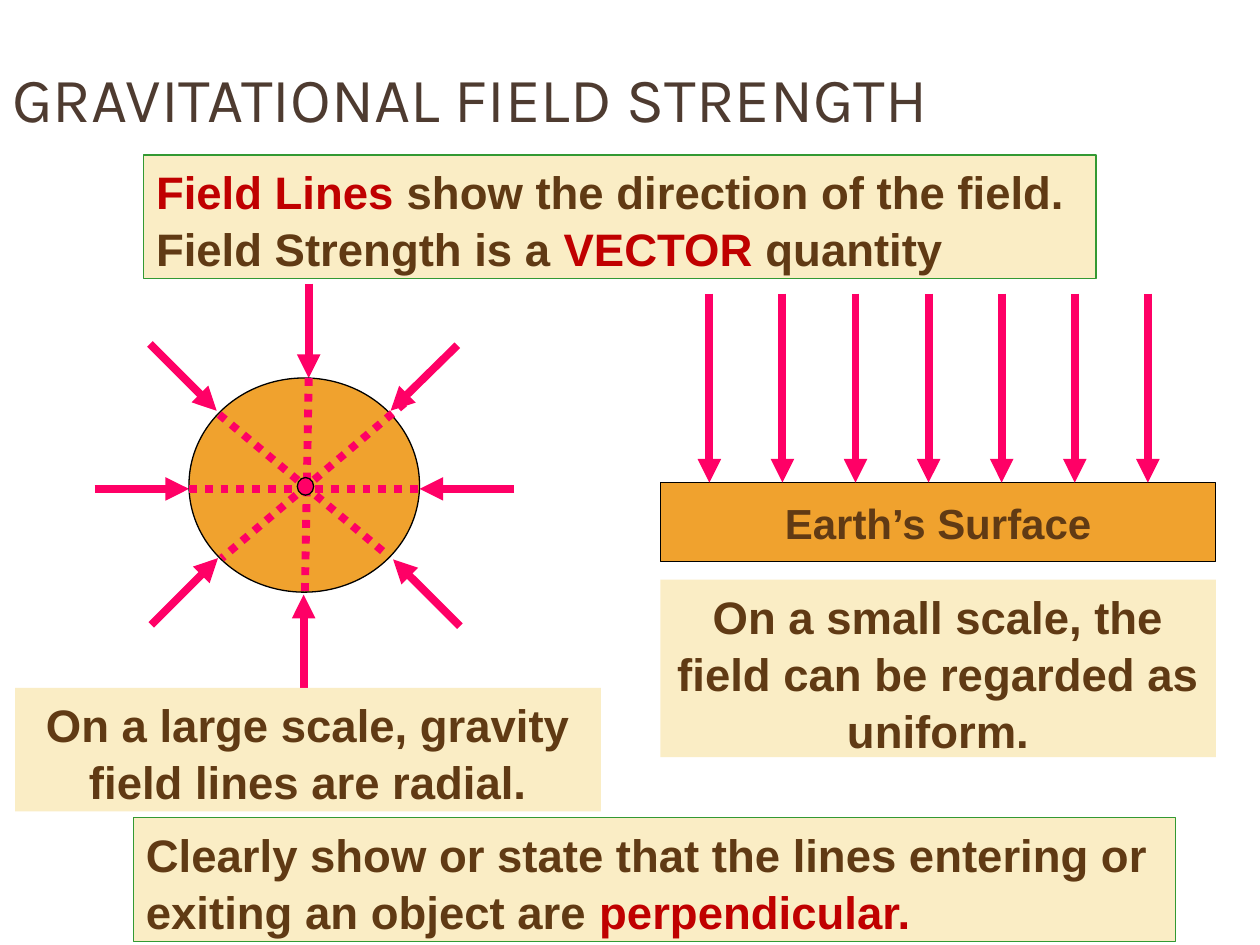
from dataclasses import dataclass

from lxml import etree
from pptx import Presentation
from pptx import util as u
from pptx.dml.color import RGBColor
from pptx.enum import dml, shapes, text
from pptx.oxml.ns import qn
from pptx.slide import Slide


@dataclass(frozen=True)
class Theme:
    cream: str = "F8E19F"
    cream_opacity: int = 60
    earth: str = "F0A22E"
    field: str = "FF0066"
    outline: str = "000000"
    border: str = "339933"
    body: str = "603A14"
    emphasis: str = "C00000"
    heading: str = "4E3B30"
    body_font: str = "Arial"
    heading_font: str = "Karla"
    note_size: int = 26
    label_size: int = 24
    heading_size: int = 36
    thin: float = 0.75
    thick: float = 4.5
    note_spacing: float = 1.05


@dataclass(frozen=True)
class Box:
    left: float
    top: float
    width: float
    height: float

    def lengths(self) -> list[u.Length]:
        return [u.Inches(v) for v in (self.left, self.top, self.width, self.height)]


@dataclass(frozen=True)
class Note:
    box: Box
    phrases: tuple[tuple[str, str], ...]
    centred: bool = False
    bordered: bool = False


@dataclass(frozen=True)
class FieldLine:
    x1: float
    y1: float
    x2: float
    y2: float
    inside: bool = False


THEME = Theme()

NOTES = (
    Note(Box(1.14, 1.23, 7.56, 0.98), (
        ("Field Lines ", THEME.emphasis),
        ("show the direction of the field. Field Strength is a ", THEME.body),
        ("VECTOR ", THEME.emphasis),
        ("quantity", THEME.body),
    ), bordered=True),
    Note(Box(0.12, 5.46, 4.65, 0.98), (
        ("On a large scale, gravity field lines are radial.", THEME.body),
    ), centred=True),
    Note(Box(5.24, 4.6, 4.41, 1.41), (
        ("On a small scale, the field can be regarded as uniform.", THEME.body),
    ), centred=True),
    Note(Box(1.06, 6.49, 8.27, 0.98), (
        ("Clearly show or state that the lines entering or exiting an object are ", THEME.body),
        ("perpendicular.", THEME.emphasis),
    ), bordered=True),
)

RADIAL_ARROWS = (
    FieldLine(2.45, 2.25, 2.45, 3),
    FieldLine(2.41, 5.46, 2.41, 4.72),
    FieldLine(0.75, 3.88, 1.5, 3.88),
    FieldLine(1.19, 2.73, 1.72, 3.26),
    FieldLine(3.63, 2.74, 3.1, 3.26),
    FieldLine(1.2, 4.96, 1.73, 4.43),
    FieldLine(3.65, 4.97, 3.12, 4.44),
    FieldLine(4.08, 3.88, 3.33, 3.88),
)
INNER_LINES = (
    FieldLine(3.21, 3.2, 1.76, 4.43, inside=True),
    FieldLine(2.45, 3, 2.42, 4.71, inside=True),
    FieldLine(1.5, 3.88, 3.33, 3.88, inside=True),
    FieldLine(1.74, 3.29, 3.08, 4.41, inside=True),
)
UNIFORM_ARROWS = tuple(
    FieldLine(5.63 + 0.58 * i, 2.33, 5.63 + 0.58 * i, 3.83) for i in range(7)
)


def rgb(colour: str) -> RGBColor:
    return RGBColor.from_string(colour)


def add_body(slide: Slide, preset: shapes.MSO_SHAPE, box: Box, fill: str, border: str | None):
    body = slide.shapes.add_shape(preset, *box.lengths())
    body.shadow.inherit = False
    body.fill.solid()
    body.fill.fore_color.rgb = rgb(fill)
    if border:
        body.line.color.rgb = rgb(border)
        body.line.width = u.Pt(THEME.thin)
    else:
        body.line.fill.background()
    return body


def add_run(paragraph, words: str, font: str, size: int, colour: str, bold: bool) -> None:
    run = paragraph.add_run()
    run.text = words
    run.font.name = font
    run.font.size = u.Pt(size)
    run.font.bold = bold
    run.font.color.rgb = rgb(colour)


def add_note(slide: Slide, note: Note) -> None:
    panel = add_body(slide, shapes.MSO_SHAPE.RECTANGLE, note.box, THEME.cream,
                     THEME.border if note.bordered else None)
    tint = panel._element.spPr.find(f"{qn('a:solidFill')}/{qn('a:srgbClr')}")
    etree.SubElement(tint, qn("a:alpha"), val=str(THEME.cream_opacity * 1000))
    frame = panel.text_frame
    frame.word_wrap = True
    frame.vertical_anchor = text.MSO_ANCHOR.TOP
    paragraph = frame.paragraphs[0]
    paragraph.alignment = text.PP_ALIGN.CENTER if note.centred else text.PP_ALIGN.LEFT
    paragraph.line_spacing = THEME.note_spacing
    for words, colour in note.phrases:
        add_run(paragraph, words, THEME.body_font, THEME.note_size, colour, True)


def add_field_line(slide: Slide, course: FieldLine) -> None:
    ends = [u.Inches(v) for v in (course.x1, course.y1, course.x2, course.y2)]
    line = slide.shapes.add_connector(shapes.MSO_CONNECTOR.STRAIGHT, *ends)
    line.line.color.rgb = rgb(THEME.field)
    line.line.width = u.Pt(THEME.thick)
    properties = line._element.spPr
    if course.inside:
        line.line.dash_style = dml.MSO_LINE.ROUND_DOT
    else:
        etree.SubElement(properties.find(qn("a:ln")), qn("a:tailEnd"), type="triangle")
    etree.SubElement(properties, qn("a:effectLst"))


def add_heading(slide: Slide) -> None:
    heading = slide.shapes.add_textbox(*Box(0, 0.31, 10, 0.92).lengths())
    frame = heading.text_frame
    frame.word_wrap = True
    frame.vertical_anchor = text.MSO_ANCHOR.MIDDLE
    add_run(frame.paragraphs[0], "GRAVITATIONAL FIELD STRENGTH", THEME.heading_font,
            THEME.heading_size, THEME.heading, False)


def add_surface(slide: Slide) -> None:
    surface = add_body(slide, shapes.MSO_SHAPE.RECTANGLE, Box(5.24, 3.83, 4.41, 0.63),
                       THEME.earth, THEME.outline)
    frame = surface.text_frame
    frame.word_wrap = False
    frame.vertical_anchor = text.MSO_ANCHOR.MIDDLE
    paragraph = frame.paragraphs[0]
    paragraph.alignment = text.PP_ALIGN.CENTER
    add_run(paragraph, "Earth’s Surface", THEME.body_font, THEME.label_size, THEME.body, True)


def main() -> None:
    deck = Presentation()
    deck.slide_width, deck.slide_height = u.Inches(10), u.Inches(7.5)
    slide = deck.slides.add_slide(deck.slide_layouts[6])
    add_heading(slide)
    for arrow in RADIAL_ARROWS:
        add_field_line(slide, arrow)
    add_body(slide, shapes.MSO_SHAPE.OVAL, Box(1.5, 3, 1.83, 1.7), THEME.earth, THEME.outline)
    for line in INNER_LINES:
        add_field_line(slide, line)
    add_body(slide, shapes.MSO_SHAPE.OVAL, Box(2.36, 3.79, 0.13, 0.14), THEME.field, THEME.outline)
    add_surface(slide)
    for arrow in UNIFORM_ARROWS:
        add_field_line(slide, arrow)
    for note in NOTES:
        add_note(slide, note)
    deck.save("out.pptx")


if __name__ == "__main__":
    main()
